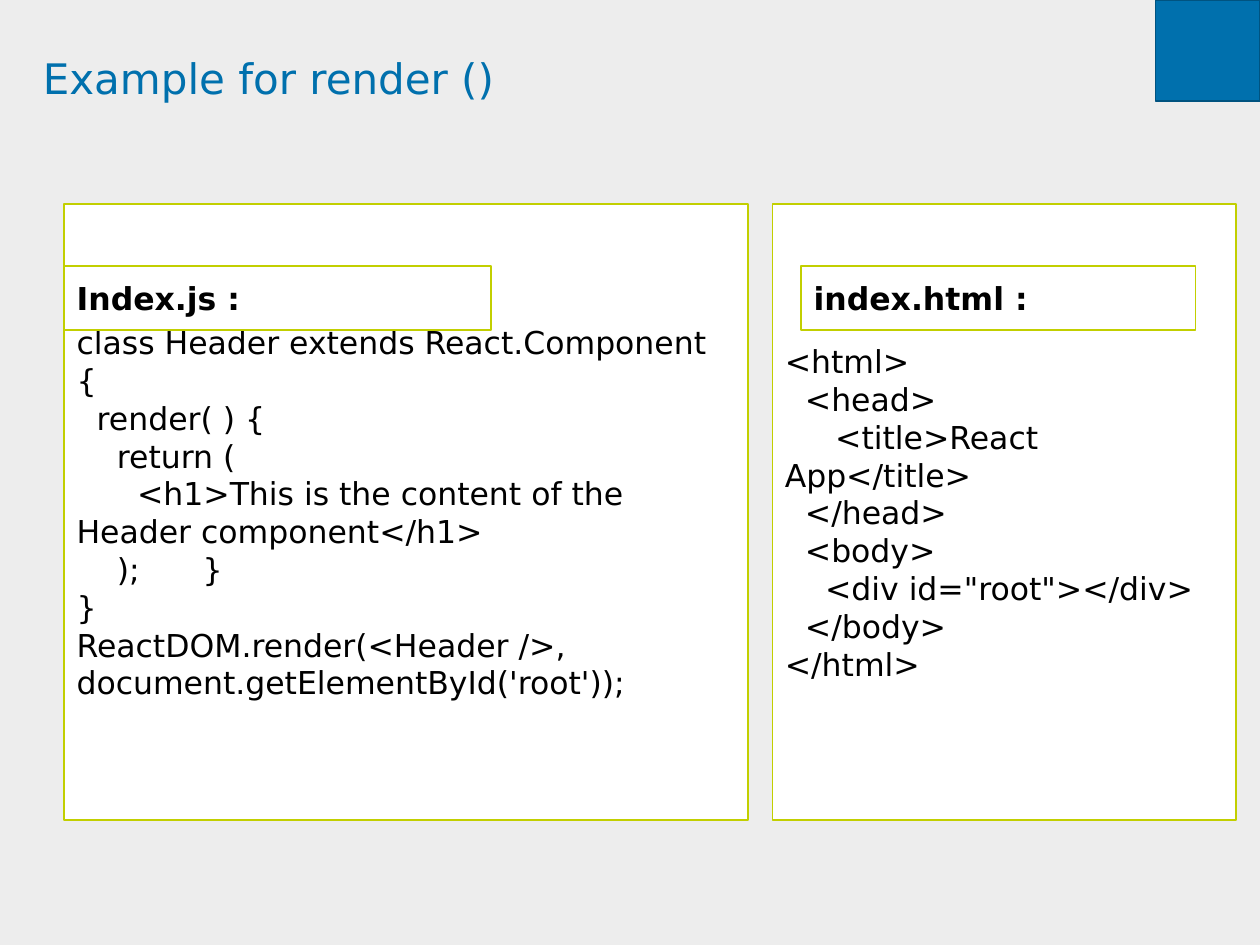
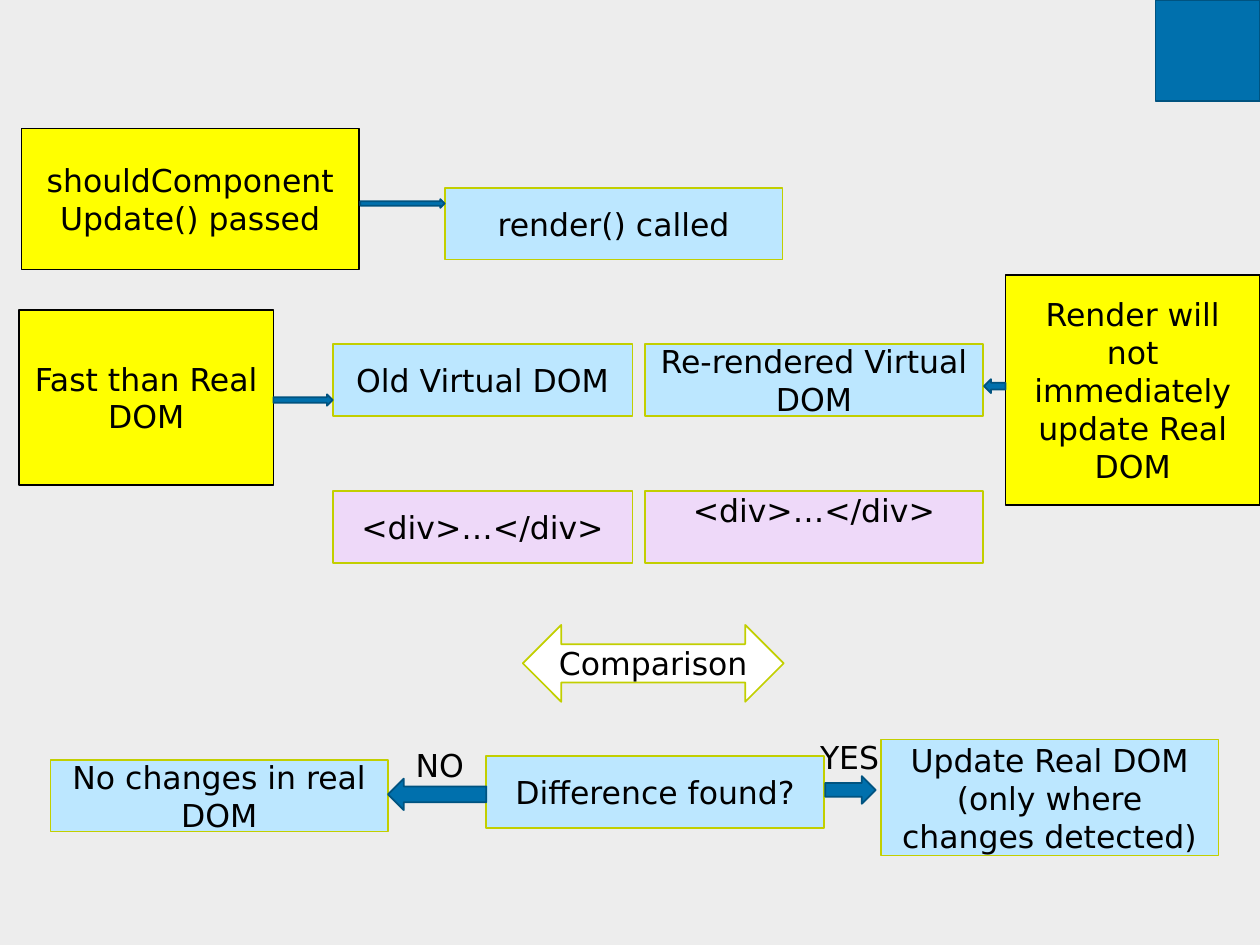
"""Build two slides on render(): a code example and the update flow of the virtual DOM."""
from lxml import etree
from pptx import Presentation
from pptx.dml.color import RGBColor
from pptx.enum.shapes import MSO_SHAPE
from pptx.enum.text import MSO_ANCHOR, MSO_AUTO_SIZE, PP_ALIGN
from pptx.oxml.ns import qn
from pptx.util import Inches, Pt

RECT = MSO_SHAPE.RECTANGLE
RIGHT = MSO_SHAPE.RIGHT_ARROW
LEFT = MSO_SHAPE.LEFT_ARROW
BOTH = MSO_SHAPE.LEFT_RIGHT_ARROW
TOP, MIDDLE = MSO_ANCHOR.TOP, MSO_ANCHOR.MIDDLE
START, CENTER = PP_ALIGN.LEFT, PP_ALIGN.CENTER

FONT = "DejaVu Sans"
COLORS = {
    "back": "EDEDED", "blue": "0070AD", "navy": "005380", "lime": "C2CF00",
    "white": "FFFFFF", "black": "000000", "sky": "BCE7FF", "lilac": "EED9F9",
    "yellow": "FFFF00",
}
HUES = {name: RGBColor.from_string(code) for name, code in COLORS.items()}

prs = Presentation()
prs.slide_width, prs.slide_height = Inches(10), Inches(7.5)
COL, ROW = prs.slide_width / 100, prs.slide_height / 100
SPACE = Inches(0.08)
back = prs.slide_master.background.fill
back.solid()
back.fore_color.rgb = HUES["back"]


def write(shape, text, size=18, hue="black", align=CENTER, bold=False):
    frame = shape.text_frame
    frame.word_wrap = True
    frame.text = text
    for para in frame.paragraphs:
        para.alignment = align
        for run in para.runs:
            run.font.name, run.font.size, run.font.bold = FONT, Pt(size), bold
            run.font.color.rgb = HUES[hue]
    return frame


def draw(slide, spot, fill, line, kind=RECT, text="", **style):
    x, y, w, h = spot
    shape = slide.shapes.add_shape(
        kind, int(x * COL), int(y * ROW), int(w * COL), int(h * ROW))
    shape.shadow.inherit = False
    shape.fill.solid()
    shape.fill.fore_color.rgb = HUES[fill]
    shape.line.color.rgb = HUES[line]
    shape.line.width = Pt(1)
    if text:
        write(shape, text, **style).vertical_anchor = MIDDLE
    return shape


code = prs.slides.add_slide(prs.slide_layouts[5])
flow = prs.slides.add_slide(prs.slide_layouts[6])

title = code.shapes.title
title.left, title.top = int(3.4 * COL), int(6.13 * ROW)
title.width, title.height = int(90.9 * COL), int(12.53 * ROW)
frame = write(title, "Example for render ()", 24, "blue", START)
frame.auto_size = MSO_AUTO_SIZE.NONE
frame.vertical_anchor = TOP
frame.margin_left = frame.margin_top = frame.margin_right = frame.margin_bottom = 0
frame.paragraphs[0].line_spacing = 0.9

script = [
    (0, "class Header extends React.Component {"),
    (2, "render( ) {"),
    (4, "return ("),
    (6, "<h1>This is the content of the Header component</h1>"),
    (4, ");\t}"),
    (0, "}"),
    (0, "ReactDOM.render(<Header />, document.getElementById('root'));"),
]
page = [
    (0, "<html>"),
    (2, "<head>"),
    (5, "<title>React App</title>"),
    (2, "</head>"),
    (2, "<body>"),
    (4, '<div id="root"></div>'),
    (2, "</body>"),
    (0, "</html>"),
]
panels = [
    (5.1, 54.3, script, 5.1, 33.9, "Index.js :"),
    (61.3, 36.8, page, 63.6, 31.3, "index.html :"),
]
for x, w, lines, tab_x, tab_w, name in panels:
    body = "\n".join(text for depth, text in lines)
    panel = draw(code, (x, 21.6, w, 65.2), "white", "lime", text=body, align=START)
    for para, (depth, text) in zip(panel.text_frame.paragraphs, lines):
        props = para._p.get_or_add_pPr()
        props.set("indent", str(depth * SPACE))
        if "\t" in text:
            tabs = etree.SubElement(props, qn("a:tabLst"))
            etree.SubElement(tabs, qn("a:tab"), pos=str(Inches(0.74)), algn="l")
    draw(code, (tab_x, 28.13, tab_w, 6.8), "white", "lime",
         text=name, align=START, bold=True)

WIDE, SLIM, TALL = 26.8, 23.8, 7.6
OLD, NEW = 26.4, 51.2
steps = [
    (35.3, 19.87, WIDE, TALL, "sky", "render() called"),
    (NEW, 36.4, WIDE, TALL, "sky", "Re-rendered Virtual DOM"),
    (OLD, 36.4, SLIM, TALL, "sky", "Old Virtual DOM"),
    (OLD, 52, SLIM, TALL, "lilac", "<div>…</div>"),
    (NEW, 52, WIDE, TALL, "lilac", "<div>…</div>"),
    (4, 80.4, WIDE, TALL, "sky", "No changes in real DOM"),
    (69.9, 78.27, WIDE, 12.27, "sky", "Update Real DOM (only where changes detected)"),
    (38.6, 80, WIDE, TALL, "sky", "Difference found?"),
    (79.8, 29.07, 20.2, 24.4, "yellow", "Render will not immediately update Real DOM"),
    (1.5, 32.8, 20.2, 18.53, "yellow", "Fast than Real DOM"),
    (1.7, 13.6, WIDE, 14.93, "yellow", "shouldComponent Update() passed"),
]
for *spot, fill, text in steps:
    edge = "black" if fill == "yellow" else "lime"
    box = draw(flow, spot, fill, edge, text=text)
    if fill == "lilac" and spot[0] == NEW:
        box.text_frame.vertical_anchor = TOP
        box.text_frame.margin_top = 0

draw(flow, (41.5, 66.13, 20.7, 8.13), "white", "lime", BOTH, "Comparison")

arrows = [
    (LEFT, 30.8, 82.4, 7.8, 3.33),
    (RIGHT, 65.5, 82.13, 4, 2.93),
    (RIGHT, 28.6, 21.07, 6.7, 0.93),
    (RIGHT, 21.7, 41.73, 4.7, 1.2),
    (LEFT, 78.1, 40.13, 1.7, 1.47),
]
for kind, *spot in arrows:
    draw(flow, spot, "blue", "navy", kind)

for x, y, w, text in [(32, 78.27, 6.6, "NO"), (64.1, 77.47, 8.5, "YES")]:
    label = flow.shapes.add_textbox(
        int(x * COL), int(y * ROW), int(w * COL), int(5.33 * ROW))
    write(label, text, align=START)

for slide in (code, flow):
    draw(slide, (91.7, 0, 8.3, 10.67), "blue", "navy")

prs.save("out.pptx")
